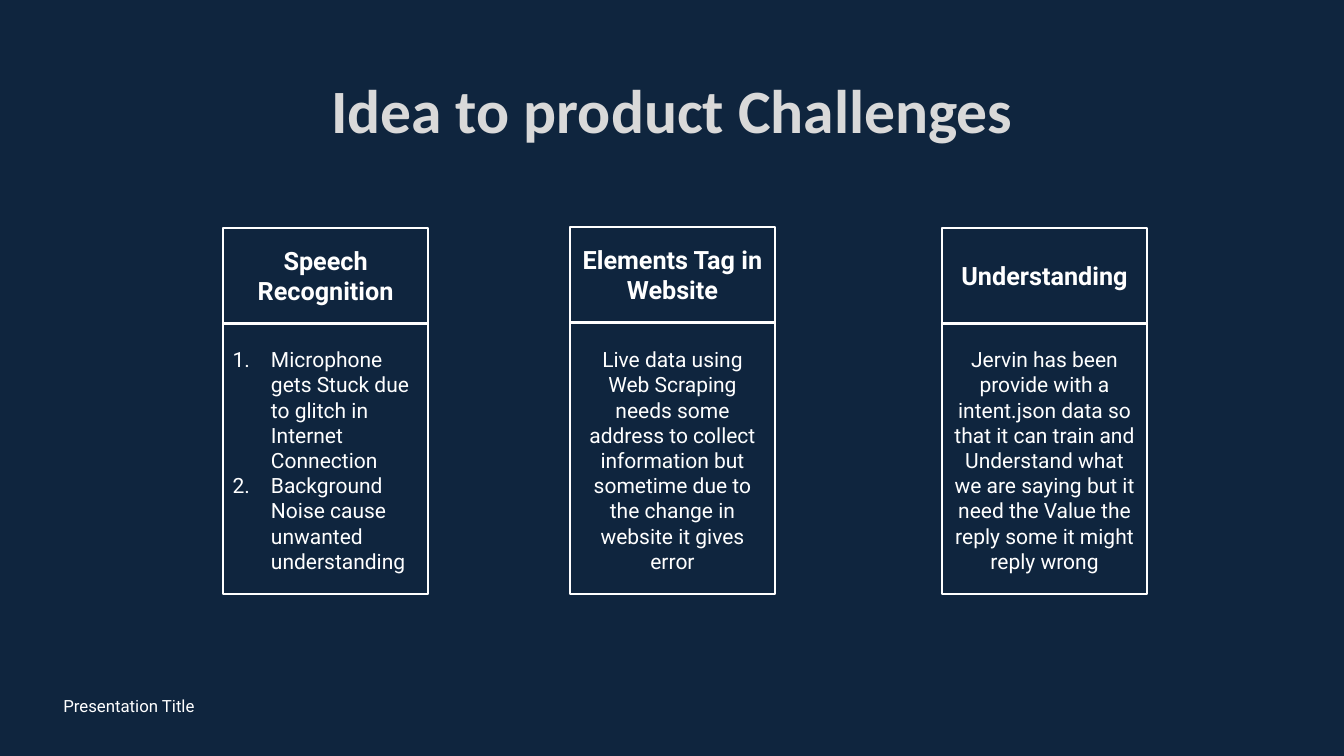
from lxml import etree
from pptx import Presentation
from pptx.dml.color import RGBColor
from pptx.enum.shapes import MSO_SHAPE as SHAPE
from pptx.enum.text import MSO_ANCHOR as ANCHOR, PP_ALIGN as ALIGN
from pptx.oxml.ns import qn
from pptx.util import Inches, Pt

NAVY, WHITE, GRAY = "0F253E", "FFFFFF", "D9D9D9"


def rgb(value):
    return RGBColor.from_string(value)


class SlideBuilder:
    font = "Roboto"
    indent = Inches(0.38)

    def __init__(self, prs):
        self.slide = prs.slides.add_slide(prs.slide_layouts[6])
        fill = self.slide.background.fill
        fill.solid()
        fill.fore_color.rgb = rgb(NAVY)

    def set_text(self, sp, lines, size, align=ALIGN.LEFT, anchor=ANCHOR.MIDDLE,
                 bold=False, color=WHITE, font=None):
        tf = sp.text_frame
        tf.word_wrap = True
        tf.vertical_anchor = anchor
        tf.text = "\n".join(lines)
        for p in tf.paragraphs:
            p.alignment = align
            for r in p.runs:
                r.font.size = Pt(size)
                r.font.name = font or self.font
                r.font.bold = bold
                r.font.color.rgb = rgb(color)
        return tf

    def label(self, box, line, size, **style):
        sp = self.slide.shapes.add_textbox(*map(Inches, box))
        return self.set_text(sp, [line], size, **style)

    def frame(self, box, lines, size, **style):
        sp = self.slide.shapes.add_shape(SHAPE.RECTANGLE, *map(Inches, box))
        sp.shadow.inherit = False
        sp.fill.background()
        sp.line.color.rgb = rgb(WHITE)
        sp.line.width = Pt(1.5)
        return self.set_text(sp, lines, size, **style)

    def number(self, tf):
        for p in tf.paragraphs:
            pPr = p._p.get_or_add_pPr()
            pPr.set("marL", str(self.indent))
            pPr.set("indent", str(-self.indent))
            bullet_font = etree.SubElement(pPr, qn("a:buFont"))
            bullet_font.set("typeface", self.font)
            etree.SubElement(pPr, qn("a:buAutoNum")).set("type", "arabicPeriod")

    def card(self, left, top, heading, lines):
        width, head_height, body_top = 2.04, 0.95, 3.2
        numbered = len(lines) > 1
        body = self.frame((left, body_top, width, 2.69), lines, 15,
                          anchor=ANCHOR.TOP,
                          align=ALIGN.LEFT if numbered else ALIGN.CENTER)
        body.margin_top = Inches(0.24)
        if numbered:
            self.number(body)
        head = self.frame((left, top, width, head_height), [heading], 18,
                          align=ALIGN.CENTER, bold=True)
        head.paragraphs[0].space_before = Pt(10)


CARDS = [
    (2.21, 2.26, "Speech Recognition",
     ["Microphone gets Stuck due to glitch in Internet Connection",
      "Background Noise cause unwanted understanding"]),
    (5.65, 2.25, "Elements Tag in Website",
     ["Live data using Web Scraping needs some address to collect "
      "information but sometime due to the change in website it gives error"]),
    (9.34, 2.26, "Understanding",
     ["Jervin has been provide with a intent.json data so that it can train "
      "and Understand what we are saying but it need the Value the reply "
      "some it might reply wrong"]),
]


def main():
    prs = Presentation()
    prs.slide_width, prs.slide_height = Inches(13.33), Inches(7.5)
    s = SlideBuilder(prs)

    # Title
    title = s.label((0.92, 0.4, 11.5, 1.45), "Idea to product Challenges", 44,
                    align=ALIGN.CENTER, bold=True, color=GRAY, font="Calibri")
    title.paragraphs[0].line_spacing = 0.9

    # Challenge cards
    for card in CARDS:
        s.card(*card)

    # Footer
    s.label((0.53, 6.8, 4.5, 0.4), "Presentation Title", 12)

    prs.save("out.pptx")


if __name__ == "__main__":
    main()
